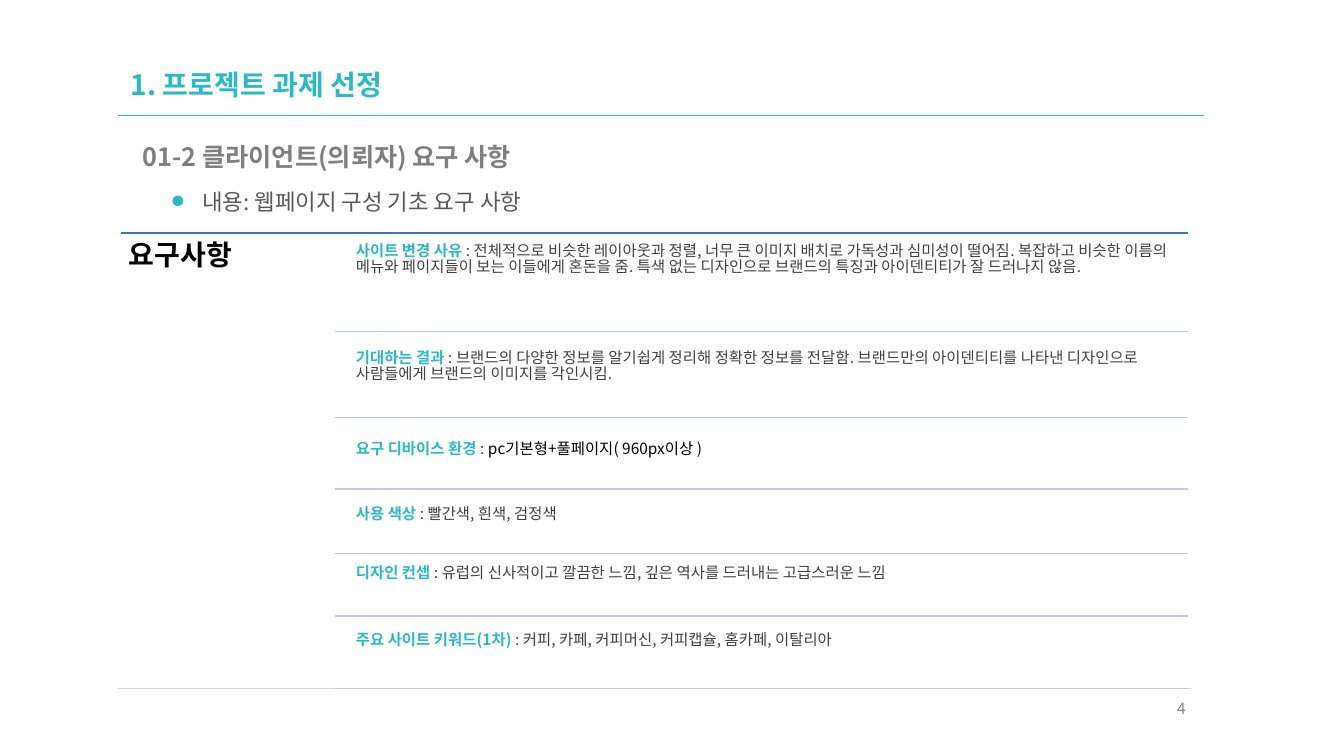
from dataclasses import dataclass

from lxml.etree import SubElement
from pptx import Presentation
from pptx.dml.color import RGBColor
from pptx.enum.shapes import MSO_CONNECTOR
from pptx.enum.text import MSO_ANCHOR, PP_ALIGN
from pptx.oxml.ns import qn
from pptx.util import Cm, Pt


@dataclass(frozen=True)
class Theme:
    font: str = "Noto Sans CJK KR"
    accent: str = "2AB9C7"
    heading: str = "7F7F7F"
    summary: str = "595959"
    body: str = "404040"
    black: str = "000000"
    page: str = "808080"
    top_rule: str = "4472C4"
    row_rule: str = "C1C9E4"
    footer_rule: str = "D9D9D9"
    title_size: int = 20
    heading_size: int = 18
    summary_size: int = 16
    body_size: int = 11


THEME = Theme()

TITLE = "1. 프로젝트 과제 선정"
HEADING = "01-2 클라이언트(의뢰자) 요구 사항"
SUMMARY = "내용: 웹페이지 구성 기초 요구 사항"
TABLE_LABEL = "요구사항"
PAGE_NUMBER = "4"

# text top, rule below, label, text, color after the colon
REQUIREMENTS = [
    (5.99, 8.36, "사이트 변경 사유 ",
     "전체적으로 비슷한 레이아웃과 정렬, 너무 큰 이미지 배치로 가독성과 심미성이 떨어짐. "
     "복잡하고 비슷한 이름의 메뉴와 페이지들이 보는 이들에게 혼돈을 줌. "
     "특색 없는 디자인으로 브랜드의 특징과 아이덴티티가 잘 드러나지 않음.", THEME.body),
    (8.69, 10.52, "기대하는 결과 ",
     "브랜드의 다양한 정보를 알기쉽게 정리해 정확한 정보를 전달함. "
     "브랜드만의 아이덴티티를 나타낸 디자인으로 사람들에게 브랜드의 이미지를 각인시킴.", THEME.body),
    (11, 12.32, "요구 디바이스 환경 ", "pc기본형+풀페이지( 960px이상 )", THEME.black),
    (12.62, 13.94, "사용 색상 ", "빨간색, 흰색, 검정색", THEME.body),
    (14.1, 15.52, "디자인 컨셉 ",
     "유럽의 신사적이고 깔끔한 느낌, 깊은 역사를 드러내는 고급스러운 느낌", THEME.body),
    (15.8, 17.35, "주요 사이트 키워드(1차) ",
     "커피, 카페, 커피머신, 커피캡슐, 홈카페, 이탈리아", THEME.body),
]

HEADER_RIGHT = 30.43
RULE_LEFT = 2.97
TABLE_LEFT, TABLE_TOP, TABLE_RIGHT = 3.05, 5.87, 29.95
ROW_RULE_LEFT, ROW_TEXT_LEFT, ROW_HEIGHT = 8.43, 8.84, 1.88


def add_rule(slide, left, right, top, color, width):
    rule = slide.shapes.add_connector(
        MSO_CONNECTOR.STRAIGHT, Cm(left), Cm(top), Cm(right), Cm(top))
    rule.line.color.rgb = RGBColor.from_string(color)
    rule.line.width = Pt(width)
    SubElement(rule._element.spPr, qn("a:effectLst"))


def add_text_box(slide, left, top, width, height, inset=None):
    frame = slide.shapes.add_textbox(Cm(left), Cm(top), Cm(width), Cm(height)).text_frame
    frame.word_wrap = True
    if inset is not None:
        frame.margin_left = frame.margin_right = Cm(inset)
        frame.margin_top = frame.margin_bottom = Cm(inset)
    paragraph = frame.paragraphs[0]
    paragraph.line_spacing = 0.9
    return frame, paragraph


def add_bullet(paragraph):
    properties = paragraph._p.get_or_add_pPr()
    properties.set("marL", str(Cm(0.79)))
    properties.set("indent", str(-Cm(0.79)))
    bullet_color = SubElement(properties, qn("a:buClr"))
    SubElement(bullet_color, qn("a:srgbClr"), val=THEME.accent)
    SubElement(properties, qn("a:buSzPct"), val="80000")
    SubElement(properties, qn("a:buChar"), char="●")


def style_font(font, size, color=None, bold=None):
    font.size = Pt(size)
    font.name = THEME.font
    SubElement(font._element, qn("a:ea"), typeface=THEME.font)
    if color:
        font.color.rgb = RGBColor.from_string(color)
    if bold is not None:
        font.bold = bold


def add_run(paragraph, text, color, bold):
    run = paragraph.add_run()
    run.text = text
    run.font.color.rgb = RGBColor.from_string(color)
    run.font.bold = bold


def add_header(slide):
    add_rule(slide, RULE_LEFT, 30.33, 2.9, THEME.accent, 0.5)
    add_rule(slide, RULE_LEFT, 30.05, 17.35, THEME.footer_rule, 0.5)
    lines = [
        (TITLE, 3.05, 1.57, 1.24, THEME.title_size, THEME.accent, True),
        (HEADING, 3.35, 3.53, 0.86, THEME.heading_size, THEME.heading, True),
        (SUMMARY, 4.06, 4.7, 0.86, THEME.summary_size, THEME.summary, False),
    ]
    for text, left, top, height, size, color, bold in lines:
        frame, paragraph = add_text_box(slide, left, top, HEADER_RIGHT - left, height)
        if text == TITLE:
            frame.vertical_anchor = MSO_ANCHOR.MIDDLE
        if text == SUMMARY:
            add_bullet(paragraph)
        paragraph.add_run().text = text
        style_font(paragraph.font, size, color, bold)


def add_requirements(slide):
    add_rule(slide, TABLE_LEFT, TABLE_RIGHT, TABLE_TOP, THEME.top_rule, 1)
    _, paragraph = add_text_box(slide, TABLE_LEFT, TABLE_TOP, 5.38, 12.27, 0.2)
    paragraph.add_run().text = TABLE_LABEL
    style_font(paragraph.font, THEME.title_size, THEME.black, True)
    for top, rule_top, label, text, color in REQUIREMENTS:
        _, paragraph = add_text_box(
            slide, ROW_TEXT_LEFT, top, TABLE_RIGHT - ROW_TEXT_LEFT, ROW_HEIGHT, 0.13)
        add_run(paragraph, label, THEME.accent, True)
        add_run(paragraph, ": ", THEME.body, False)
        add_run(paragraph, text, color, False)
        style_font(paragraph.font, THEME.body_size)
        add_rule(slide, ROW_RULE_LEFT, TABLE_RIGHT, rule_top, THEME.row_rule, 1)


def add_page_number(slide):
    _, paragraph = add_text_box(slide, 28.63, 17.48, 1.5, 1.02)
    paragraph.line_spacing = 1.0
    paragraph.alignment = PP_ALIGN.RIGHT
    paragraph.add_run().text = PAGE_NUMBER
    style_font(paragraph.font, THEME.body_size, THEME.page)


def main():
    presentation = Presentation()
    presentation.slide_width = Cm(33.87)
    presentation.slide_height = Cm(19.05)
    slide = presentation.slides.add_slide(presentation.slide_layouts[6])
    add_header(slide)
    add_requirements(slide)
    add_page_number(slide)
    presentation.save("out.pptx")


if __name__ == "__main__":
    main()
